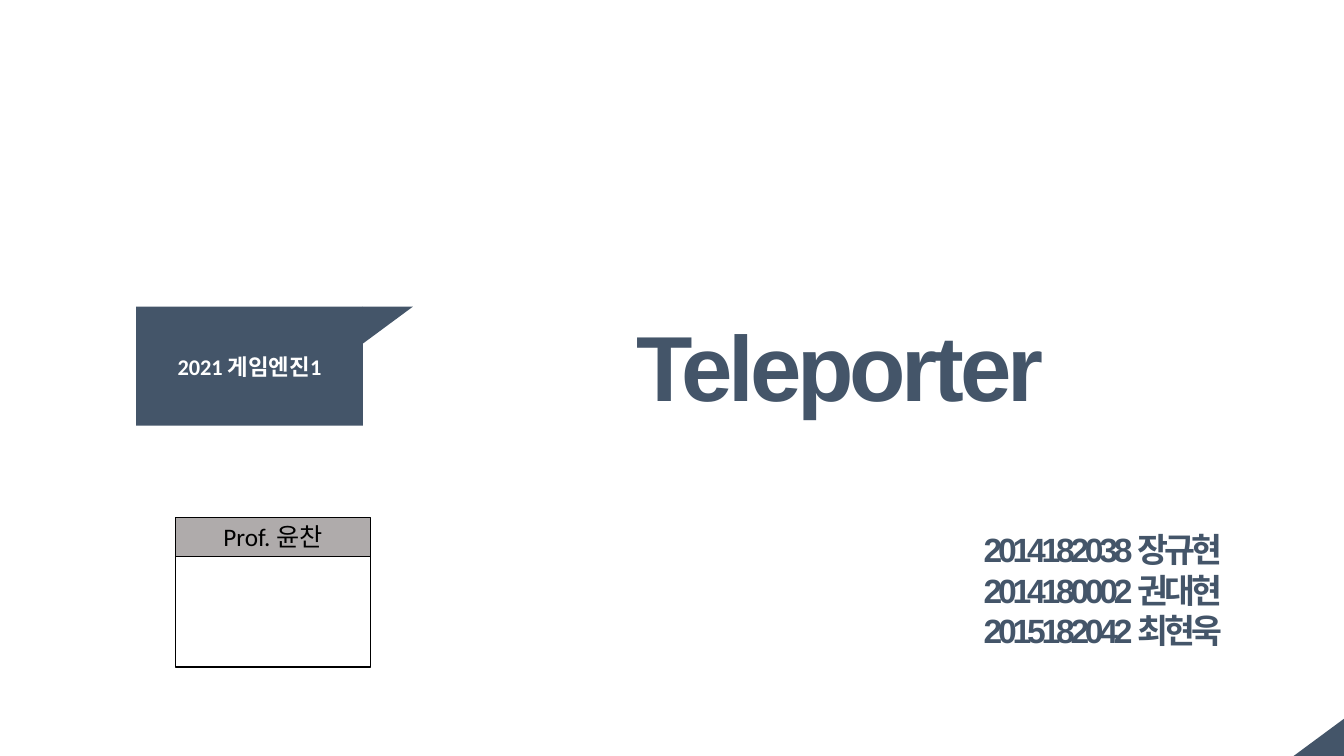
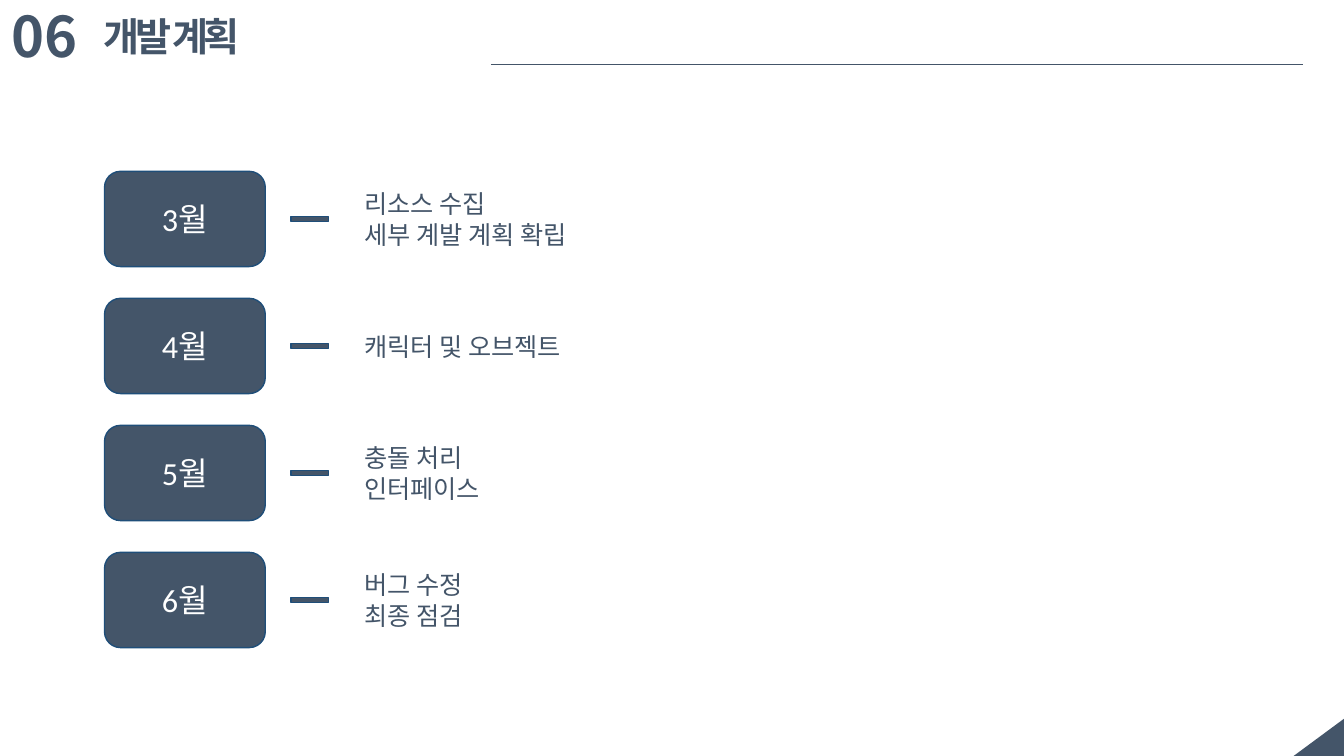
from dataclasses import dataclass

from lxml import etree
from pptx import Presentation
from pptx.dml.color import RGBColor
from pptx.enum import shapes, text
from pptx.oxml import ns
from pptx.util import Pt

COLORS = {
    "navy": "445569",
    "edge": "1F4E79",
    "gray": "AFABAB",
    "white": "FFFFFF",
    "black": "000000",
}
KOREAN = "Noto Sans CJK KR"
SLIDE_W, SLIDE_H = 960, 540
FOLD_W, FOLD_H = 36, 26.6
LEFT, CENTER = text.PP_ALIGN.LEFT, text.PP_ALIGN.CENTER
TOP, MIDDLE = text.MSO_ANCHOR.TOP, text.MSO_ANCHOR.MIDDLE
SHAPE = shapes.MSO_SHAPE


@dataclass
class Box:
    x: float
    y: float
    w: float
    h: float


@dataclass
class Month:
    name: str
    tasks: str


MONTHS = [
    Month("3월", "리소스 수집\n세부 계발 계획 확립"),
    Month("4월", "캐릭터 및 오브젝트"),
    Month("5월", "충돌 처리\n인터페이스"),
    Month("6월", "버그 수정\n최종 점검"),
]


def rgb(name: str) -> RGBColor:
    return RGBColor.from_string(COLORS[name])


def place(sp, box: Box) -> None:
    sp.left, sp.top, sp.width, sp.height = map(Pt, (box.x, box.y, box.w, box.h))


def write(sp, content: str, *, size: float, font: str = "Calibri",
          color: str = "navy", bold: bool = False, spacing: float = 0,
          align=LEFT, anchor=TOP, inset: float = 3.6, wrap: bool = True) -> None:
    tf = sp.text_frame
    tf.text = content
    tf.word_wrap = wrap
    tf.auto_size = text.MSO_AUTO_SIZE.NONE
    tf.vertical_anchor = anchor
    tf.margin_left = tf.margin_right = Pt(7.2)
    tf.margin_top = tf.margin_bottom = Pt(inset)
    for p in tf.paragraphs:
        p.alignment = align
        for r in p.runs:
            r.font.size = Pt(size)
            r.font.name = font
            r.font.bold = bold
            r.font.color.rgb = rgb(color)
            props = r.font._element
            if spacing:
                props.set("spc", str(round(spacing * 100)))
            latin = props.find(ns.qn("a:latin"))
            east_asian = etree.Element(ns.qn("a:ea"), typeface=KOREAN)
            latin.addnext(east_asian)


def add_text(s, box: Box, content: str, **style) -> None:
    sp = s.shapes.add_textbox(0, 0, 0, 0)
    place(sp, box)
    write(sp, content, **style)


def add_block(s, kind, box: Box, fill: str = "navy", line: str = "",
              rotation: float = 0):
    sp = s.shapes.add_shape(kind, 0, 0, 0, 0)
    place(sp, box)
    sp.rotation = rotation
    sp.shadow.inherit = False
    sp.fill.solid()
    sp.fill.fore_color.rgb = rgb(fill)
    if line:
        sp.line.color.rgb = rgb(line)
        sp.line.width = Pt(1)
    else:
        sp.line.fill.background()
    return sp


def add_fold(s, x: float, y: float, rotation: float) -> None:
    shift = (FOLD_W - FOLD_H) / 2
    box = Box(x + shift, y - shift, FOLD_H, FOLD_W)
    add_block(s, SHAPE.RIGHT_TRIANGLE, box, rotation=rotation)


def add_rule(s, x1: float, x2: float, y: float) -> None:
    rule = s.shapes.add_connector(
        shapes.MSO_CONNECTOR.STRAIGHT, Pt(x1), Pt(y), Pt(x2), Pt(y))
    rule.line.color.rgb = rgb("navy")
    rule.line.width = Pt(0.75)
    etree.SubElement(rule._element.spPr, ns.qn("a:effectLst"))


def add_slide(prs, title: str, box: Box, **style):
    s = prs.slides.add_slide(prs.slide_layouts[5])
    place(s.shapes.title, box)
    write(s.shapes.title, title, font="Arial", bold=True, spacing=-3, **style)
    add_fold(s, SLIDE_W - FOLD_W, SLIDE_H - FOLD_H, 270)
    return s


def build_cover(prs) -> None:
    s = add_slide(prs, "Teleporter", Box(276.5, 221, 646.5, 80),
                  size=66, align=CENTER, inset=0)
    course = add_block(s, SHAPE.RECTANGLE, Box(97.2, 219, 162, 85))
    write(course, "2021 게임엔진1", size=16, color="white", bold=True,
          align=CENTER, anchor=MIDDLE)
    add_fold(s, 259, 219, 90)
    add_text(s, Box(695.5, 378, 212.5, 87),
             "2014182038 장규현\n2014180002 권대현\n2015182042 최현욱",
             size=24, font="Arial", bold=True, spacing=-3, inset=0)
    add_block(s, SHAPE.RECTANGLE, Box(125.5, 397.5, 139, 79), "white", "black")
    professor = add_block(s, SHAPE.RECTANGLE, Box(125.5, 369.5, 139, 28),
                          "gray", "black")
    write(professor, "Prof. 윤찬", size=18, color="black",
          align=CENTER, anchor=MIDDLE)


def build_plan(prs) -> None:
    s = add_slide(prs, "개발 계획", Box(67, 5, 122.5, 41), size=28, wrap=False)
    add_text(s, Box(1.4, -2.2, 91.4, 55.4), "06", size=40, font=KOREAN,
             bold=True)
    add_rule(s, 350.6, 931, 46)
    top, pitch, height, dash = 122.4, 90.72, 68, 14.4
    for i, month in enumerate(MONTHS):
        y = top + i * pitch
        sp = add_block(s, SHAPE.ROUNDED_RECTANGLE, Box(74.7, y, 114.8, height),
                       line="edge")
        write(sp, month.name, size=23, color="white", align=CENTER,
              anchor=MIDDLE)
        add_block(s, SHAPE.MATH_MINUS,
                  Box(203, y + (height - dash) / 2, 36.7, dash), line="edge")
        add_text(s, Box(253, y, 533, height), month.tasks, size=18,
                 anchor=MIDDLE)


def main() -> None:
    prs = Presentation()
    prs.slide_width, prs.slide_height = Pt(SLIDE_W), Pt(SLIDE_H)
    build_cover(prs)
    build_plan(prs)
    prs.save("out.pptx")


if __name__ == "__main__":
    main()
